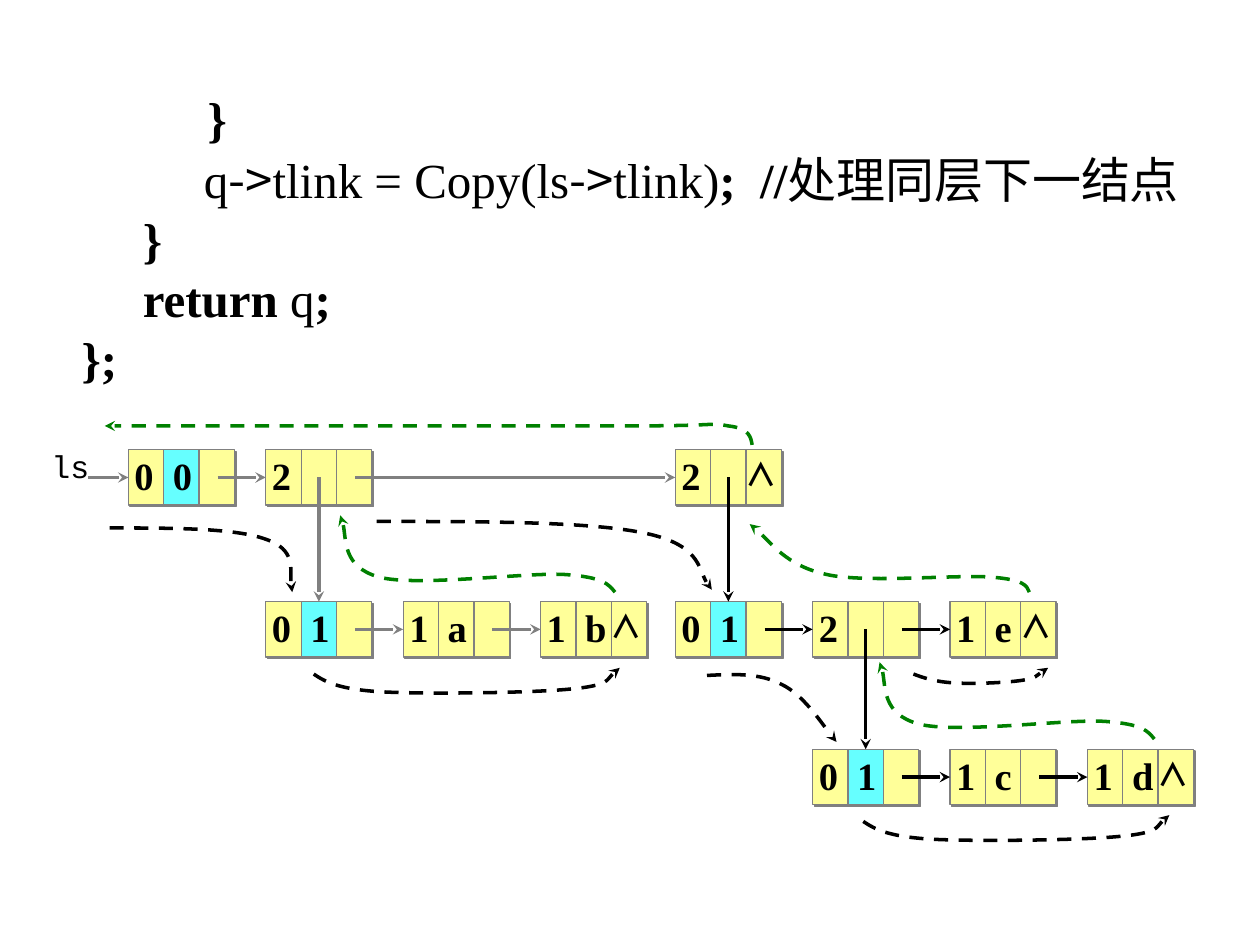
import pptx
import pptx.dml.color
import pptx.enum.dml
import pptx.enum.shapes
import pptx.enum.text
import pptx.oxml
import pptx.oxml.ns
import pptx.util
from lxml import etree

Pt = pptx.util.Pt
qn = pptx.oxml.ns.qn

COLORS = {"gray": "808080", "yellow": "FFFF99", "cyan": "66FFFF",
          "black": "000000", "green": "008000", "teal": "009999"}
SERIF, CJK, MONO = "Times New Roman", "Noto Sans CJK SC", "Courier New"

PLAIN = {"size": Pt(28), "name": SERIF, "bold": False}
BOLD = {**PLAIN, "bold": True}
ARROW = {**PLAIN, "name": CJK}
LABEL = {"size": Pt(22), "name": SERIF, "bold": True}
NIL = {"size": Pt(18), "name": CJK, "bold": True}
POINTER = {"size": Pt(18), "name": MONO, "bold": False}

CODE = [
    [("        ", {"size": Pt(32), "name": SERIF, "italic": True}, "teal"),
     ("\t", {"size": Pt(18), "name": MONO, "bold": True}), ("}", BOLD)],
    [("          ", BOLD), ("q", PLAIN), ("->", ARROW), ("tlink = Copy(ls", PLAIN),
     ("->", ARROW), ("tlink)", PLAIN), (";  //", BOLD), ("处理同层下一结点", PLAIN)],
    [("     }", BOLD)],
    [("     return ", BOLD), ("q", PLAIN), (";", BOLD)],
    [("};", BOLD)],
]

# name: column, row, label, middle cell colour, ends its list
NODES = {
    "head": (0, 0, "0\t0", "cyan", False),
    "first": (1, 0, "2", "yellow", False),
    "second": (4, 0, "2", "yellow", True),
    "ab": (1, 1, "0\t1", "cyan", False),
    "a": (2, 1, "1\ta", "yellow", False),
    "b": (3, 1, "1\tb", "yellow", True),
    "cde": (4, 1, "0\t1", "cyan", False),
    "inner": (5, 1, "2", "yellow", False),
    "e": (6, 1, "1\te", "yellow", True),
    "cd": (5, 2, "0\t1", "cyan", False),
    "c": (6, 2, "1\tc", "yellow", False),
    "d": (7, 2, "1\td", "yellow", True),
}
NEXT_LINKS = [("head", "first", "gray"), ("first", "second", "gray"), ("ab", "a", "gray"),
              ("a", "b", "gray"), ("cde", "inner", "black"), ("inner", "e", "black"),
              ("cd", "c", "black"), ("c", "d", "black")]
CHILD_LINKS = [("first", "ab", "gray"), ("second", "cde", "black"), ("inner", "cd", "black")]

ALONG_LIST = [(179.3, 385.2), (185.8, 389.5), (193, 393.8), (217.4, 395.3), (241.9, 396.7),
              (303, 396), (325.4, 393.8), (348.5, 391.7), (349.2, 384.5), (354.2, 381.6)]
BACK_UP = [(351.4, 338.4), (347.8, 334), (345, 329.8), (322.6, 328.3), (300.2, 327),
           (238.3, 335.5), (216.7, 329.8), (195.8, 324), (198, 300.2), (194.4, 294.5)]
# colour, shift, start point followed by three points for each curve
TRACES = [
    ("black", (0, 0), [(62.6, 301.7), (98.6, 301.7), (134.6, 301.7), (152, 308.2),
                       (169.2, 314), (165, 333.4), (167, 338.4)]),
    ("black", (0, 0), ALONG_LIST),
    ("green", (0, 0), BACK_UP),
    ("black", (0, 0), [(215.3, 298), (275.8, 298), (336.2, 298), (368, 304.6),
                       (399.6, 311), (400.3, 331.2), (406.8, 337)]),
    ("black", (0, 0), [(404, 386), (419, 385.2), (434.2, 384.5), (446.4, 391),
                       (458.6, 396.7), (473, 418.3), (478, 424)]),
    ("black", (314, 84.2), ALONG_LIST),
    ("green", (308.2, 83.9), BACK_UP),
    ("black", (0, 0), [(522, 385.2), (527.8, 387.4), (534.2, 389.5), (544.3, 390.2), (555, 391),
                       (574.6, 390.2), (584, 388.8), (592.6, 387.4), (596.2, 383), (599, 381.6)]),
    ("green", (0, 0), [(588.2, 338.4), (586.8, 334.8), (585.4, 331.2), (566, 329.8),
                       (546.5, 328.3), (494.6, 333.4), (472.3, 328.3), (449.3, 323.3),
                       (436.3, 304.6), (428.4, 299.5)]),
    ("green", (0, 0), [(429.8, 254.2), (429, 249.8), (428.4, 244.8), (416.2, 243.4),
                       (404, 241.2), (417, 243.4), (357, 243.4), (298, 243.4),
                       (109.4, 243.4), (59.8, 243.4)]),
]

LEFT, PITCH, HALF_GAP = 73.4, 78.5, 1.5
ROW_TOPS = (257, 343.8, 428.2)
CELL_W, NODE_H = 20.2, 31.7
NODE_W = 3 * CELL_W


def color(name):
    return pptx.dml.color.RGBColor.from_string(COLORS[name])


def add_text(page, place, lines, tab=None, align=None, wrap=True):
    box = page.shapes.add_textbox(*map(Pt, place))
    frame = box.text_frame
    frame.word_wrap = wrap
    for index, spans in enumerate(lines):
        para = frame.add_paragraph() if index else frame.paragraphs[0]
        if tab:
            tabs = etree.SubElement(para._p.get_or_add_pPr(), qn("a:tabLst"))
            etree.SubElement(tabs, qn("a:tab"), pos=str(Pt(tab)), algn="l")
        para.alignment = align
        for text, fmt, *tint in spans:
            span = para.add_run()
            span.text = text
            for key, value in fmt.items():
                setattr(span.font, key, value)
            span.font.color.rgb = color(tint[0] if tint else "black")
            if fmt["name"] == CJK:
                etree.SubElement(span._r.get_or_add_rPr(), qn("a:ea"), typeface=CJK)
    return frame


def add_cell(page, x, y, width, fill):
    cell = page.shapes.add_shape(pptx.enum.shapes.MSO_SHAPE.RECTANGLE,
                                 Pt(x), Pt(y), Pt(width), Pt(NODE_H))
    cell.shadow.inherit = False
    cell.fill.solid()
    cell.fill.fore_color.rgb = color(fill)
    cell.line.color.rgb = color("gray")
    cell.line.width = Pt(0.75)
    return cell


def add_hard_shadow(shape):
    effects = shape.element.spPr.find(qn("a:effectLst"))
    shadow = etree.SubElement(effects, qn("a:outerShdw"), blurRad="0", dist=str(Pt(1.4)),
                              dir="2700000", algn="ctr", rotWithShape="0")
    etree.SubElement(shadow, qn("a:srgbClr"), val=COLORS["gray"])


def style_arrow(line, tint, dash=None):
    line.color.rgb = color(tint)
    line.width = Pt(2)
    line.dash_style = dash
    etree.SubElement(line._get_or_add_ln(), qn("a:tailEnd"), type="stealth")


def add_link(page, start, target, side, tint):
    x, y = map(Pt, start)
    link = page.shapes.add_connector(pptx.enum.shapes.MSO_CONNECTOR.STRAIGHT, x, y, x, y)
    link.end_connect(target, side)
    style_arrow(link.line, tint)
    etree.SubElement(link.element.spPr, qn("a:effectLst"))


def add_node(page, column, row, label, middle, is_last):
    """Draw one list node; return its rectangle, left and top."""
    x = LEFT + PITCH * column - (HALF_GAP if column > 3 else 0)
    y = ROW_TOPS[row]
    node = add_cell(page, x, y, NODE_W, "yellow")
    add_hard_shadow(node)
    add_cell(page, x + CELL_W, y, CELL_W, middle)
    justify = pptx.enum.text.PP_ALIGN.JUSTIFY
    width = 56 if "\t" in label else 29
    add_text(page, (x - 3.6, y - 2.2, width, 47), [[(label, LABEL)]], tab=22, align=justify)
    if is_last:
        add_text(page, (x + 33, y - 0.5, 37, 38), [[("∧", NIL)]], align=justify)
    return node, x, y


def add_trace(page, tint, shift, points):
    """Draw a dashed arrow made of cubic curves."""
    start, *rest = [(Pt(x + shift[0]), Pt(y + shift[1])) for x, y in points]
    builder = page.shapes.build_freeform(*start)
    builder.add_line_segments(rest, close=False)
    trace = builder.convert_to_shape()
    trace.shadow.inherit = False
    trace.fill.background()
    style_arrow(trace.line, tint, pptx.enum.dml.MSO_LINE.DASH)
    outline = next(trace.element.iter(qn("a:path")))
    steps = outline.findall(qn("a:lnTo"))
    for index in range(0, len(steps), 3):
        curve = etree.SubElement(outline, qn("a:cubicBezTo"))
        for step in steps[index:index + 3]:
            curve.append(step[0])
            outline.remove(step)


def main():
    deck = pptx.Presentation()
    deck.slide_width, deck.slide_height = Pt(720), Pt(540)
    page = deck.slides.add_slide(deck.slide_layouts[6])

    code = add_text(page, (39.6, 43.2, 664.6, 180), CODE, tab=72, wrap=False)
    code.auto_size = pptx.enum.text.MSO_AUTO_SIZE.SHAPE_TO_FIT_TEXT
    for para in code.paragraphs[1:]:
        para.line_spacing = Pt(34)

    nodes = {name: add_node(page, *data) for name, data in NODES.items()}
    add_text(page, (22.3, 252, 46, 47), [[("ls", POINTER)]])
    add_link(page, (50.4, ROW_TOPS[0] + NODE_H / 2), nodes["head"][0], 1, "gray")
    for links, offset, side in ((NEXT_LINKS, 51, 1), (CHILD_LINKS, NODE_W / 2, 0)):
        for source, target, tint in links:
            _, x, y = nodes[source]
            add_link(page, (x + offset, y + NODE_H / 2), nodes[target][0], side, tint)
    for trace in TRACES:
        add_trace(page, *trace)
    deck.save("out.pptx")


if __name__ == "__main__":
    main()
